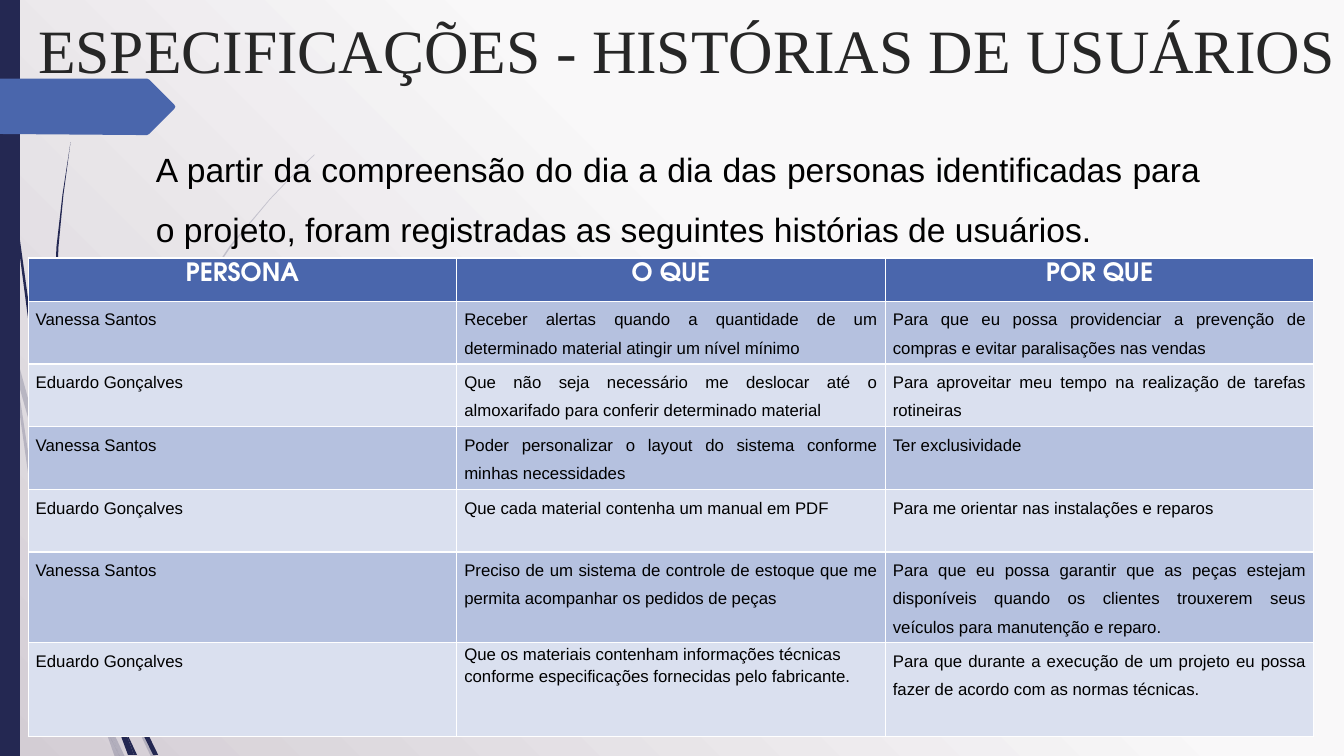
from pptx import Presentation
from pptx.dml.color import RGBColor
from pptx.enum.shapes import MSO_SHAPE
from pptx.enum.text import MSO_ANCHOR, PP_ALIGN
from pptx.oxml import parse_xml
from pptx.util import Cm, Pt

RECT = MSO_SHAPE.RECTANGLE
BOTTOM = MSO_ANCHOR.BOTTOM
LEFT, CENTER, JUST = PP_ALIGN.LEFT, PP_ALIGN.CENTER, PP_ALIGN.JUSTIFY

NAVY = RGBColor(0x24, 0x28, 0x52)
BLUE = RGBColor(0x4A, 0x66, 0xAC)
MID = RGBColor(0xB5, 0xC1, 0xDF)
PALE = RGBColor(0xDA, 0xE0, 0xEF)
WHITE = RGBColor(0xFF, 0xFF, 0xFF)
BLACK = RGBColor(0, 0, 0)
DARK = RGBColor(0x26, 0x26, 0x26)
LIGHT = RGBColor(0xF9, 0xF8, 0xF9)
MAUVE = RGBColor(0xD3, 0xCD, 0xD4)

UNIT = Cm(2.54) / 100
ALPHA = ('<a:alpha xmlns:a="http://schemas.openxmlformats.org/'
         'drawingml/2006/main" val="20000"/>')

# Outlines as x, y pairs, in hundredths of an inch
FAINT = [
    [11, 350, 9, 322, 0, 282, 0, 299, 10, 344],
    [58, 522, 84, 599, 85, 586, 62, 520, 14, 345, 17, 376],
    [92, 607, 88, 596, 88, 610, 123, 694, 150, 751, 155, 751, 127, 692],
    [119, 751, 124, 751, 105, 711],
    [93, 683, 70, 619, 31, 469, 17, 376, 11, 350, 28, 470, 65, 621,
     92, 693, 101, 714, 99, 707],
    [84, 599, 87, 646, 93, 683, 96, 692, 105, 711, 103, 706, 91, 646,
     88, 610, 88, 608],
    [88, 584, 110, 462, 160, 349, 229, 245, 268, 198, 290, 175, 312, 154,
     312, 153, 289, 175, 268, 197, 228, 244, 158, 348, 107, 461, 85, 584,
     85, 586, 88, 596],
    [101, 714, 114, 751, 119, 751],
    [88, 608, 88, 610, 88, 596, 85, 586, 84, 599],
    [96, 692, 93, 683, 99, 707, 101, 714, 119, 751, 105, 711],
]
SOLID = [
    [7, 110, 17, 233, 33, 355, 56, 477, 57, 481, 55, 457, 55, 453, 36, 355,
     19, 232, 8, 109, 5, 48, 4, 0, 3, 0, 4, 48],
    [88, 592, 106, 645, 106, 633, 106, 631, 93, 590, 60, 472, 64, 505],
    [113, 649, 110, 641, 111, 656, 132, 708, 152, 749, 157, 749, 136, 706],
    [110, 691, 98, 657, 72, 556, 64, 505, 57, 477, 68, 557, 93, 659,
     111, 708, 117, 722, 116, 717],
    [60, 472, 58, 453, 54, 349, 58, 245, 63, 193, 70, 141, 62, 193,
     56, 245, 52, 349, 55, 449],
    [133, 749, 136, 749, 122, 719],
    [57, 477, 64, 505, 60, 472, 55, 449, 55, 453],
    [111, 633, 125, 552, 158, 476, 205, 406, 231, 374, 245, 359, 261, 344,
     260, 344, 245, 358, 231, 373, 204, 405, 156, 474, 122, 551, 106, 631,
     110, 641],
    [117, 722, 127, 749, 131, 749],
    [106, 645, 110, 691, 116, 706, 122, 719, 121, 716, 111, 656, 109, 651],
    [106, 645, 109, 651, 111, 656, 110, 641, 106, 631, 106, 633],
    [116, 706, 110, 691, 116, 717, 117, 722, 130, 749, 133, 749, 122, 719],
]
ARROW = [173, 108, 148, 133, 146, 134, 136, 134, 0, 133, 0, 78, 136, 78,
         146, 78, 148, 79, 173, 104, 174, 106]

ROWS = [
    ("PERSONA", "O QUE", "POR QUE"),
    ("Vanessa Santos",
     "Receber alertas quando a quantidade de um determinado material "
     "atingir um nível mínimo",
     "Para que eu possa providenciar a prevenção de compras e evitar "
     "paralisações nas vendas"),
    ("Eduardo Gonçalves",
     "Que não seja necessário me deslocar até o almoxarifado para conferir "
     "determinado material",
     "Para aproveitar meu tempo na realização de tarefas rotineiras"),
    ("Vanessa Santos",
     "Poder personalizar o layout do sistema conforme minhas necessidades",
     "Ter exclusividade"),
    ("Eduardo Gonçalves",
     "Que cada material contenha um manual em PDF",
     "Para me orientar nas instalações e reparos"),
    ("Vanessa Santos",
     "Preciso de um sistema de controle de estoque que me permita "
     "acompanhar os pedidos de peças",
     "Para que eu possa garantir que as peças estejam disponíveis quando os "
     "clientes trouxerem seus veículos para manutenção e reparo."),
    ("Eduardo Gonçalves",
     "Que os materiais contenham informações técnicas conforme "
     "especificações fornecidas pelo fabricante.",
     "Para que durante a execução de um projeto eu possa fazer de acordo "
     "com as normas técnicas."),
]
HEIGHTS = [1.09, 1.58, 1.58, 1.58, 1.58, 2.28, 2.37]


def draw(shapes, flat, color):
    """Draw a closed, filled outline from a flat list of x, y values."""
    pts = list(zip(flat[::2], flat[1::2]))
    pen = shapes.build_freeform(*pts[0], scale=UNIT)
    pen.add_line_segments(pts[1:], close=True)
    shape = pen.convert_to_shape()
    shape.shadow.inherit = False
    shape.fill.solid()
    shape.fill.fore_color.rgb = color
    shape.line.fill.background()
    return shape


def write(frame, text, font, size, color, align=LEFT, space=1.0, bold=False):
    """Set one paragraph of text and its format."""
    frame.text = text
    frame.word_wrap = True
    para = frame.paragraphs[0]
    para.alignment = align
    para.line_spacing = space
    face = para.runs[0].font
    face.name, face.size, face.bold = font, Pt(size), bold
    face.color.rgb = color


prs = Presentation()
prs.slide_width, prs.slide_height = Cm(33.87), Cm(19.05)
slide = prs.slides.add_slide(prs.slide_layouts[6])
shapes = slide.shapes

back = slide.background.fill
back.gradient()
back.gradient_angle = 225
for stop, spot, color in zip(back.gradient_stops, (0.4, 1), (LIGHT, MAUVE)):
    stop.position = spot
    stop.color.rgb = color

group = shapes.add_group_shape()
for flat in FAINT:
    wisp = draw(group.shapes, flat, NAVY)
    wisp.element.spPr.find(".//{*}srgbClr").append(parse_xml(ALPHA))
group = shapes.add_group_shape()
for flat in SOLID:
    draw(group.shapes, flat, NAVY)

band = shapes.add_shape(RECT, 0, 0, Cm(0.5), prs.slide_height)
band.shadow.inherit = False
band.fill.solid()
band.fill.fore_color.rgb = NAVY
band.line.fill.background()
draw(shapes, ARROW, BLUE)

title = shapes.add_textbox(Cm(0.71), Cm(0.15), Cm(33.87), Cm(2.13))
write(title.text_frame, "ESPECIFICAÇÕES - HISTÓRIAS DE USUÁRIOS",
      "Times New Roman", 44, DARK)
title.text_frame.vertical_anchor = BOTTOM

intro = shapes.add_textbox(Cm(3.68), Cm(3.12), Cm(26.82), Cm(3.15))
write(intro.text_frame,
      "A partir da compreensão do dia a dia das personas identificadas para "
      "o projeto, foram registradas as seguintes histórias de usuários.",
      "Arial", 24, BLACK, JUST, 1.5)

table = shapes.add_table(len(ROWS), 3, Cm(0.71), Cm(6.5), Cm(32.4),
                         Cm(sum(HEIGHTS))).table
for r, (texts, height) in enumerate(zip(ROWS, HEIGHTS)):
    table.rows[r].height = Cm(height)
    for c, text in enumerate(texts):
        cell = table.cell(r, c)
        cell.fill.solid()
        cell.fill.fore_color.rgb = (MID if r % 2 else PALE) if r else BLUE
        if r == 0:
            write(cell.text_frame, text, "TeX Gyre Adventor", 18, WHITE,
                  CENTER, bold=True)
            continue
        cell.margin_left = cell.margin_right = Cm(0.19)
        cell.margin_top = cell.margin_bottom = 0
        loose = (r, c) != (6, 1)
        write(cell.text_frame, text, "Arial", 12, BLACK,
              JUST if loose else LEFT, 1.5 if loose else 1.14)

prs.save("out.pptx")
